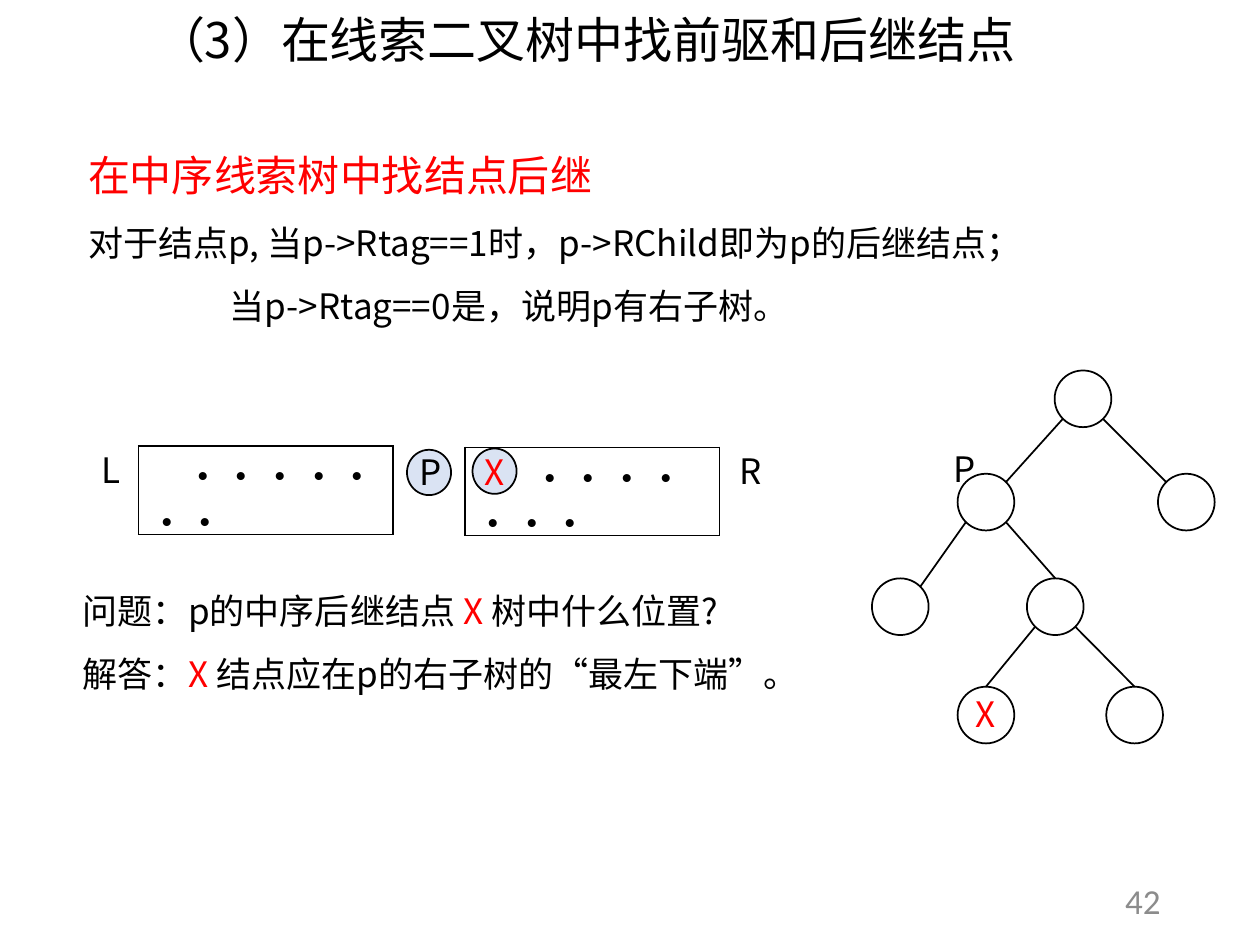
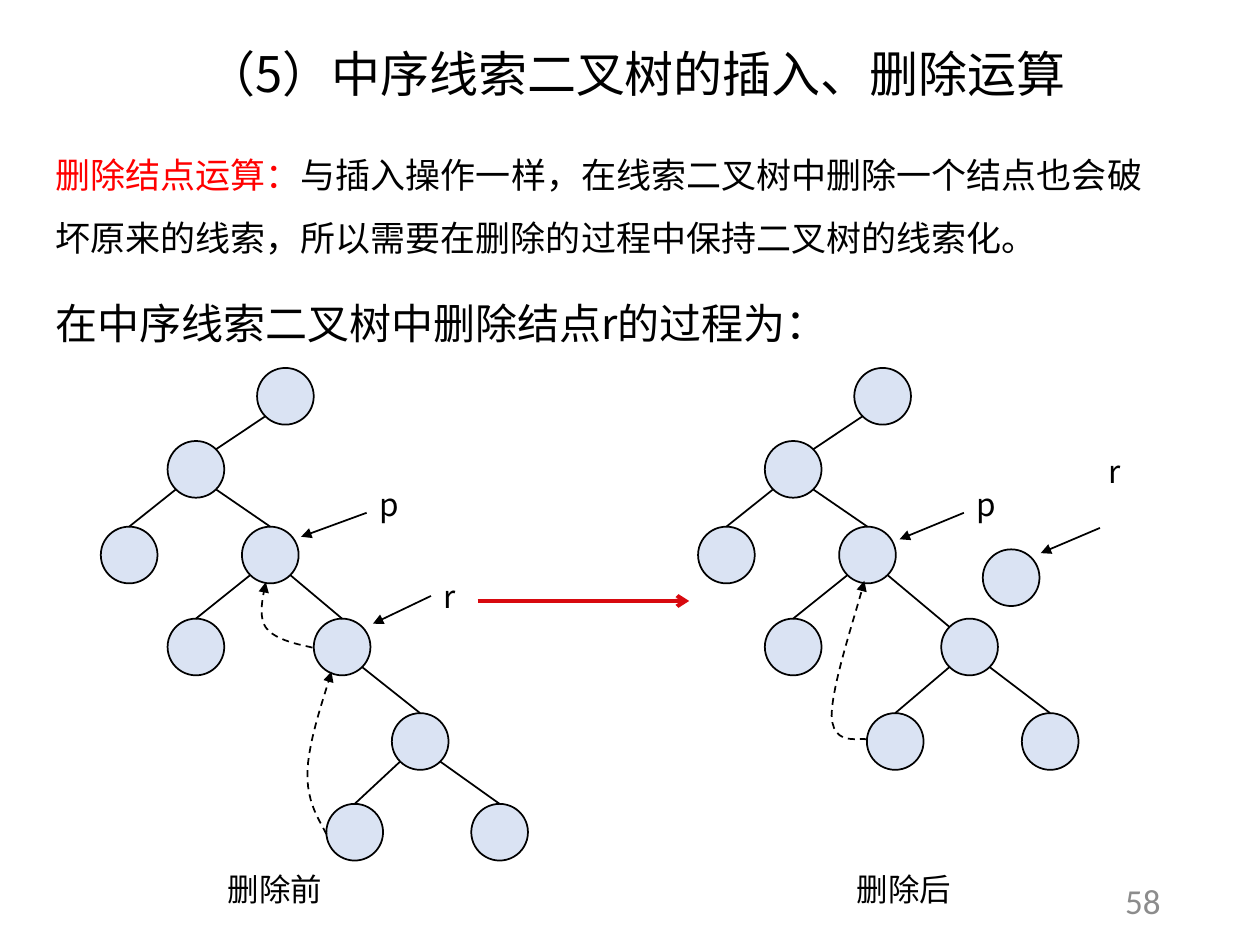
"""Build two slides on threaded binary trees."""
from dataclasses import dataclass

from lxml import etree
from pptx import Presentation
from pptx import util as u
from pptx.dml.color import RGBColor
from pptx.enum import dml, shapes, text
from pptx.oxml import parse_xml
from pptx.oxml.ns import nsdecls, qn


@dataclass(frozen=True)
class Theme:
    """Colours, fonts, type sizes and measures shared by the slides."""
    ink: str = "000000"
    accent: str = "FF0000"
    arrow: str = "D8090F"
    muted: str = "8C8C8C"
    paper: str = "FFFFFF"
    node: str = "DAE3F3"
    font: str = "Noto Sans CJK SC"
    number_font: str = "Calibri"
    title: int = 28
    heading: int = 24
    body: int = 20
    small: int = 18
    line: float = 1
    cell: int = u.Inches(0.1)
    columns: int = 100
    rows: int = 75
    circle: float = 4.5
    diagonal: float = 1.6


THEME = Theme()
UPPER_NODES = {"root": (20.4, 29.2), "a": (13.3, 35), "b": (8, 41.8),
               "p": (19.2, 41.8), "c": (13.3, 49.1)}
UPPER_EDGES = [("root", "a", True), ("a", "b", False),
               ("a", "p", False), ("p", "c", False)]


def grid(*cells):
    """Turn grid cells into slide lengths."""
    return [round(cell * THEME.cell) for cell in cells]


def colour(value):
    """Return a colour for a hex value."""
    return RGBColor.from_string(value)


def style_font(span, size, ink, face, bold=False):
    """Set the type of one run, for Latin and East Asian letters."""
    values = {"size": u.Pt(size), "bold": bold, "name": face}
    for name, value in values.items():
        setattr(span.font, name, value)
    span.font.color.rgb = colour(ink)
    east = etree.SubElement(span._r.get_or_add_rPr(), qn("a:ea"))
    east.set("typeface", face)


def write(frame, lines, size, spacing=None, ink=THEME.ink, face=THEME.font,
          align=None, bold=False):
    """Fill a frame with (spans, size, indent) lines or plain strings."""
    for index, line in enumerate(lines):
        para = frame.add_paragraph() if index else frame.paragraphs[0]
        spans, line_size, indent = (line, size, 0) if isinstance(line, str) else line
        if indent:
            para._p.get_or_add_pPr().set("indent", str(grid(indent)[0]))
        for name, value in {"line_spacing": spacing, "alignment": align}.items():
            setattr(para, name, value)
        for words, shade in [(spans, ink)] if isinstance(spans, str) else spans:
            span = para.add_run()
            span.text = words
            style_font(span, line_size, shade, face, bold)


def add_text(page, at, lines, size, anchor=text.MSO_ANCHOR.TOP, **style):
    """Add a wrapping text box."""
    frame = page.shapes.add_textbox(*grid(*at)).text_frame
    for name, value in {"word_wrap": True, "vertical_anchor": anchor}.items():
        setattr(frame, name, value)
    write(frame, lines, size, **style)


def style_line(line, ink=THEME.ink, width=THEME.line, head=None, dash=None):
    """Style an outline, with an optional arrowhead at its end."""
    line.color.rgb = colour(ink)
    for name, value in {"width": u.Pt(width), "dash_style": dash}.items():
        setattr(line, name, value)
    if head:
        tail = etree.SubElement(line._get_or_add_ln(), qn("a:tailEnd"))
        tail.set("type", head)


def add_line(page, start, end, **style):
    """Add a straight connector."""
    line = page.shapes.add_connector(shapes.MSO_CONNECTOR.STRAIGHT,
                                     *grid(*start, *end))
    style_line(line.line, **style)
    etree.SubElement(line._element.spPr, qn("a:effectLst"))


def add_circle(page, x, y, fill, size=(THEME.circle, THEME.circle)):
    """Add a tree node."""
    circle = page.shapes.add_shape(shapes.MSO_SHAPE.OVAL, *grid(x, y, *size))
    circle.shadow.inherit = False
    circle.fill.solid()
    circle.fill.fore_color.rgb = colour(fill)
    style_line(circle.line)


def add_edge(page, parent, child, to_side):
    """Join a parent's lower side to a child's top or upper side."""
    radius, reach = THEME.circle / 2, THEME.diagonal
    side = 1 if child[0] > parent[0] else -1
    (x1, y1), (x2, y2) = [(x + radius, y + radius) for x, y in (parent, child)]
    end = (x2 - side * reach, y2 - reach) if to_side else (x2, y2 - radius)
    add_line(page, (x1 + side * reach, y1 + reach), end)


def add_tree(page, nodes, edges, fill, shift=0):
    """Add the nodes and edges of a tree, moved right by some columns."""
    placed = {name: (x + shift, y) for name, (x, y) in nodes.items()}
    for x, y in placed.values():
        add_circle(page, x, y, fill)
    for parent, child, to_side in edges:
        add_edge(page, placed[parent], placed[child], to_side)


def bezier(points, steps=12):
    """Return points along a cubic curve, after its start."""
    curve = []
    for step in range(1, steps + 1):
        t = step / steps
        weights = ((1 - t) ** 3, 3 * t * (1 - t) ** 2, 3 * t * t * (1 - t), t ** 3)
        curve.append(tuple(sum(w * point[axis] for w, point in zip(weights, points))
                           for axis in (0, 1)))
    return curve


def add_thread(page, points):
    """Add a dashed thread through two joined cubic curves."""
    curve = bezier(points[:4]) + bezier(points[3:])
    builder = page.shapes.build_freeform(*grid(*points[0]))
    builder.add_line_segments([grid(*point) for point in curve], close=False)
    thread = builder.convert_to_shape()
    thread.shadow.inherit = False
    thread.fill.background()
    style_line(thread.line, head="triangle", dash=dml.MSO_LINE.DASH)


def add_sequence(page, x, y, indent):
    """Add a bordered one-cell table of dots."""
    table = page.shapes.add_table(1, 1, *grid(x, y, 20.2, 4.1)).table
    for name in ("first_row", "horz_banding"):
        setattr(table, name, False)
    cell = table.cell(0, 0)
    cell.fill.background()
    write(cell.text_frame, [("· · · · · · ·", THEME.small, indent)],
          THEME.small, bold=True)
    for index, side in enumerate("LRTB"):
        border = parse_xml(
            f'<a:ln{side} {nsdecls("a")} w="{u.Pt(THEME.line)}"><a:solidFill>'
            f'<a:srgbClr val="{THEME.ink}"/></a:solidFill></a:ln{side}>')
        cell._tc.get_or_add_tcPr().insert(index, border)


def add_page(deck, number, title, title_at, spacing=None):
    """Add a blank page with its title and page number."""
    page = deck.slides.add_slide(deck.slide_layouts[6])
    page.background.fill.solid()
    page.background.fill.fore_color.rgb = colour(THEME.paper)
    add_text(page, (70.6, 69.5, 22.5, 4), [number], THEME.body,
             anchor=text.MSO_ANCHOR.MIDDLE, align=text.PP_ALIGN.RIGHT,
             ink=THEME.muted, face=THEME.number_font)
    add_text(page, title_at, [title], THEME.title, spacing=spacing)
    return page


def add_successor_page(deck):
    """Show where the in-order successor of a node lies."""
    page = add_page(deck, "42", "（3）在线索二叉树中找前驱和后继结点",
                    (11.4, 0.3, 82.8, 5.7))
    ink, accent = THEME.ink, THEME.accent
    add_text(page, (6, 9.4, 91.2, 16.6), [
        ([("在中序线索树中找结点后继", accent)], THEME.heading, 0),
        "对于结点p, 当p->Rtag==1时，p->RChild即为p的后继结点；",
        ("当p->Rtag==0是，说明p有右子树。", THEME.body, 11.25),
    ], THEME.body, spacing=1.5)
    add_text(page, (5.6, 44.6, 60.3, 10.5), [
        ([("问题：p的中序后继结点 ", ink), ("X ", accent), ("树中什么位置?", ink)],
         THEME.body, 0),
        ([("解答：", ink), ("X ", accent), ("结点应在p的右子树的“最左下端”。", ink)],
         THEME.body, 0),
    ], THEME.body, spacing=1.5)

    add_sequence(page, 11, 35.4, 2.85)
    for x, y in ((32.3, 35.7), (37.5, 35.6)):
        add_circle(page, x, y, THEME.node, (3.5, 3.6))
    add_sequence(page, 36.9, 35.5, 4.5)

    nodes = {"root": (83.7, 29.4), "p": (76, 37.6), "right": (91.9, 37.6),
             "left": (69.2, 45.9), "child": (81.5, 45.9),
             "x": (76, 54.5), "y": (87.8, 54.5)}
    edges = [("root", "p", True), ("root", "right", True), ("p", "left", True),
             ("p", "child", False), ("child", "x", False), ("child", "y", False)]
    add_tree(page, nodes, edges, THEME.paper)
    for letter, x, y, shade in (("L", 7.1, 35.1, ink), ("P", 32.3, 35.3, ink),
                                ("X", 37.5, 35.3, accent), ("R", 57.7, 35.2, ink),
                                ("P", 74.7, 35, ink), ("X", 76.4, 54.5, accent)):
        add_text(page, (x, y, 3.5, 4.4), [letter], THEME.body, ink=shade)


def add_stage(page, shift, nodes, edges, pointers, labels, threads):
    """Draw one stage of the deletion, moved right by some columns."""
    add_tree(page, {**UPPER_NODES, **nodes}, UPPER_EDGES + edges, THEME.node, shift)
    for x1, y1, x2, y2 in pointers:
        add_line(page, (x1 + shift, y1), (x2 + shift, y2), head="triangle")
    for words, x, y, width in labels:
        add_text(page, (x + shift, y, width, 4), [words], THEME.small)
    for points in threads:
        add_thread(page, [(x + shift, y) for x, y in points])


def add_deletion_page(deck):
    """Show a threaded tree before and after a node is deleted."""
    page = add_page(deck, "58", "（5）中序线索二叉树的插入、删除运算",
                    (15.4, 0.6, 74.4, 7.2), spacing=1.5)
    add_text(page, (3.4, 10, 89.7, 11.1), [([
        ("删除结点运算：", THEME.accent),
        ("与插入操作一样，在线索二叉树中删除一个结点也会破坏原来的线索，"
         "所以需要在删除的过程中保持二叉树的线索化。", THEME.ink)], THEME.body, 0)],
        THEME.body, spacing=1.5)
    add_text(page, (3.4, 21.1, 89.7, 7.1), ["在中序线索二叉树中删除结点r的过程为："],
             THEME.heading, spacing=1.5)

    add_stage(
        page, 0,
        nodes={"r": (24.9, 49.1), "d": (31.1, 56.6),
               "e": (25.9, 63.8), "f": (37.4, 63.8)},
        edges=[("p", "r", False), ("r", "d", False),
               ("d", "e", False), ("d", "f", False)],
        pointers=[(29.1, 40.7, 23.9, 42.6), (34.2, 47.3, 29.6, 49.5)],
        labels=[("p", 29.1, 38, 3.5), ("r", 34.2, 45.3, 3.5),
                ("删除前", 17.1, 68.6, 19.9)],
        threads=[[(24.8, 51.4), (24.1, 51.2), (21.9, 50.9), (21.1, 49.8),
                  (20.4, 48.8), (21, 46.9), (21.1, 46.2)],
                 [(25.9, 66.2), (25.5, 65.3), (24.3, 63.8), (24.4, 61.2),
                  (24.5, 58.6), (25.9, 54.8), (26.3, 53.3)]])
    add_stage(
        page, 47.4,
        nodes={"d": (27.3, 49.1), "e": (21.4, 56.6),
               "f": (33.7, 56.6), "r": (30.6, 43.6)},
        edges=[("p", "d", True), ("d", "e", False), ("d", "f", False)],
        pointers=[(29.1, 40.7, 24, 42.8), (39.9, 41.9, 35.2, 43.9)],
        labels=[("p", 29.1, 38, 3.5), ("r", 39.6, 35.4, 3.5),
                ("删除后", 19.6, 68.6, 19.9)],
        threads=[[(21.4, 58.7), (20.8, 58.5), (18.7, 59.3), (18.6, 56.8),
                  (18.6, 54.3), (20.7, 48.2), (21.2, 46.1)]])
    add_line(page, (37.9, 47.7), (54.7, 47.7), ink=THEME.arrow, width=2.25,
             head="arrow")


def main():
    """Build and save the deck."""
    deck = Presentation()
    deck.slide_width, deck.slide_height = grid(THEME.columns, THEME.rows)
    add_successor_page(deck)
    add_deletion_page(deck)
    deck.save("out.pptx")


if __name__ == "__main__":
    main()
